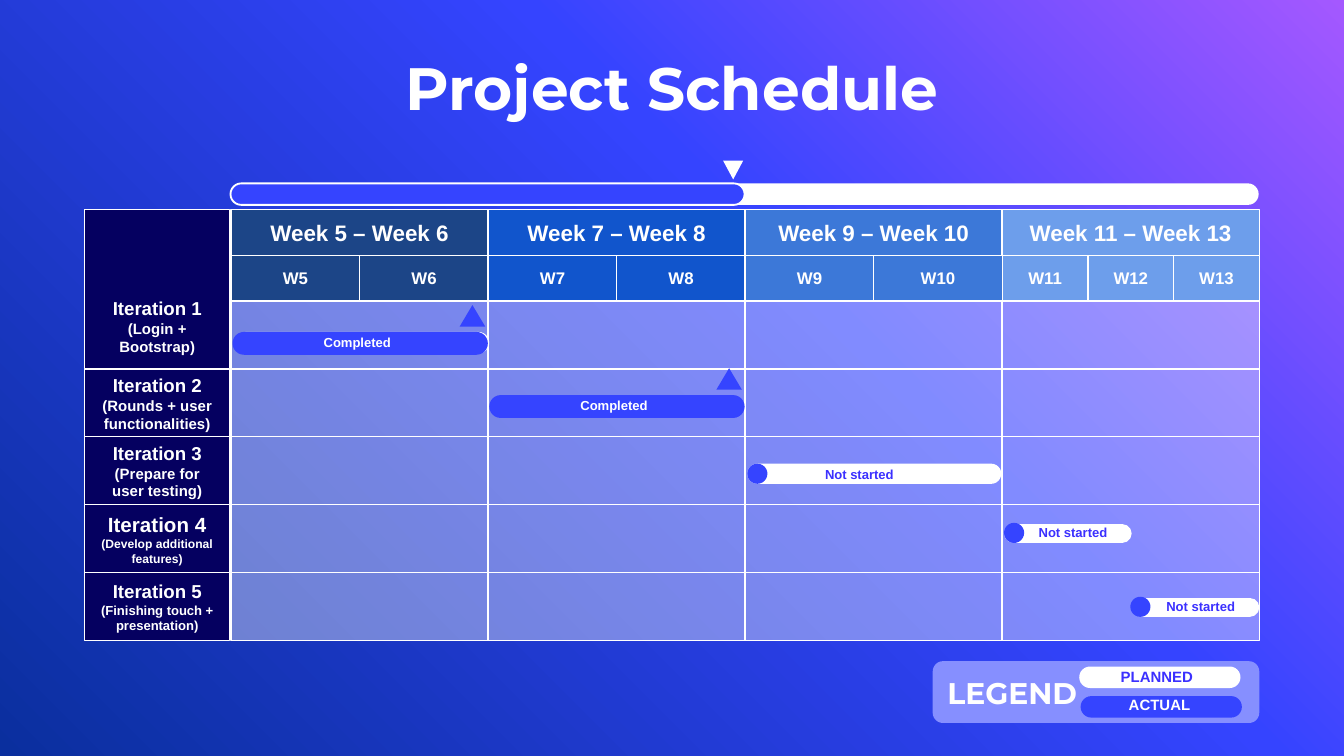
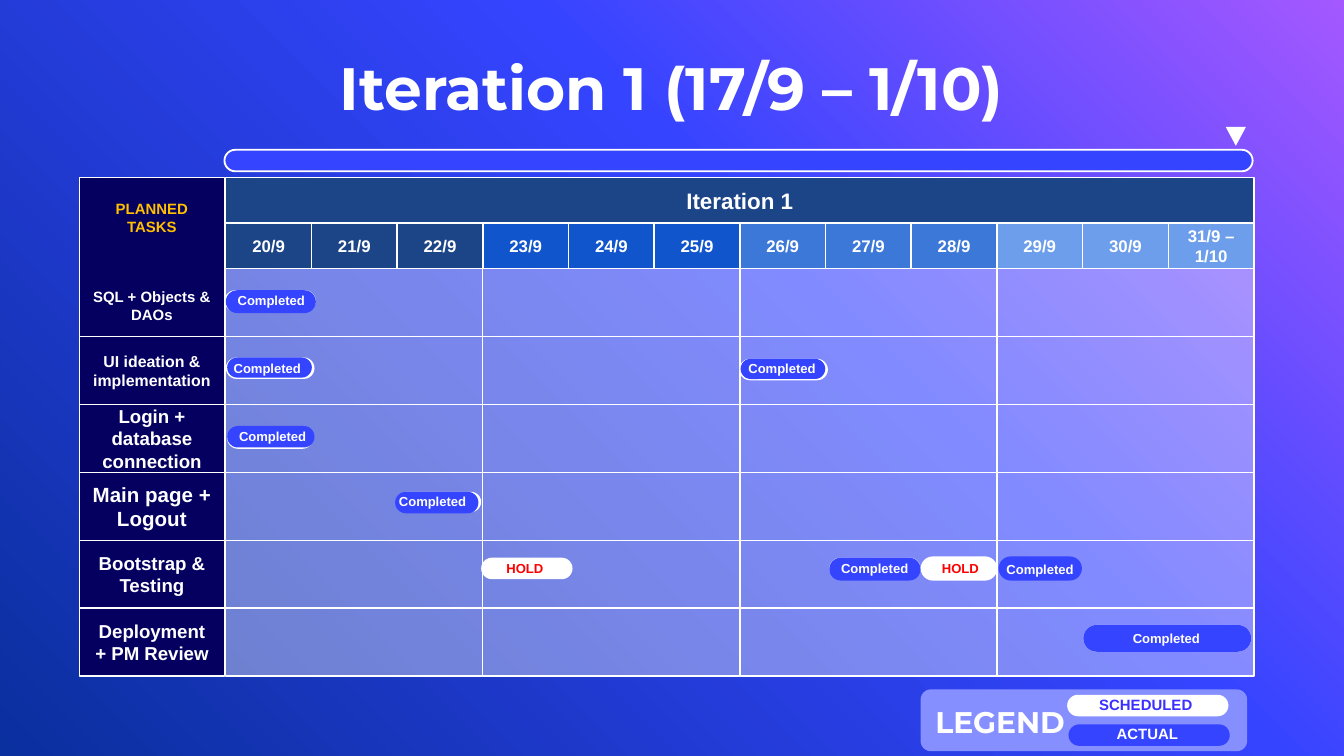
from pptx import Presentation
from pptx.dml.color import RGBColor
from pptx.enum.shapes import MSO_SHAPE
from pptx.enum.text import MSO_ANCHOR, MSO_AUTO_SIZE, PP_ALIGN
from pptx.oxml import parse_xml
from pptx.oxml.ns import nsdecls, qn
from pptx.util import Inches, Pt

RECT = MSO_SHAPE.RECTANGLE
ROUNDED = MSO_SHAPE.ROUNDED_RECTANGLE
PILL = MSO_SHAPE.ROUND_2_SAME_RECTANGLE
TRIANGLE = MSO_SHAPE.ISOSCELES_TRIANGLE
TOP, MIDDLE, BOTTOM = MSO_ANCHOR.TOP, MSO_ANCHOR.MIDDLE, MSO_ANCHOR.BOTTOM
LEFT, CENTER = PP_ALIGN.LEFT, PP_ALIGN.CENTER
GROW = MSO_AUTO_SIZE.SHAPE_TO_FIT_TEXT

BODY, HEADING = "Arial", "Montserrat"
WHITE, BLUE, NAVY = "FFFFFF", "3544FF", "050060"
INDIGO, LILAC, RED, AMBER = "3B30FF", "868FFF", "FF0000", "FFC000"
BANDS = ["1C4587", "1155CC", "3C78D8", "6D9EEB"]
BACKDROP = [(0, "A458FF"), (39, BLUE), (100, "0A2F9E")]

# Board measures, in inches
LABEL_W = 1.08
GRID_W = 7.65
BAND_W = GRID_W / len(BANDS)
HEAD_H = 0.34
ROW_H = 3.03 / 6


def rgb(color):
    return RGBColor.from_string(color)


def add_shape(s, kind, x, y, w, h, fill, line=None, alpha=None):
    sp = s.shapes.add_shape(kind, Inches(x), Inches(y), Inches(w), Inches(h))
    sp.shadow.inherit = False
    sp.fill.solid()
    sp.fill.fore_color.rgb = rgb(fill)
    if alpha:
        color = sp.element.spPr.find(qn("a:solidFill"))[0]
        color.append(parse_xml(
            f'<a:alpha {nsdecls("a")} val="{alpha * 1000}"/>'))
    if line:
        sp.line.color.rgb = rgb(WHITE)
        sp.line.width = Pt(line)
    else:
        sp.line.fill.background()
    return sp


def write(sp, lines, inset, anchor=MIDDLE, align=CENTER, font=BODY):
    """Each line is (text, size, colour)."""
    tf = sp.text_frame
    tf.word_wrap = True
    tf.vertical_anchor = anchor
    tf.margin_left = tf.margin_right = Inches(inset[0])
    tf.margin_top = tf.margin_bottom = Inches(inset[1])
    for i, (text, size, color) in enumerate(lines):
        p = tf.add_paragraph() if i else tf.paragraphs[0]
        p.text = text
        p.alignment = align
        p.font.name = font
        p.font.size = Pt(size)
        p.font.bold = True
        p.font.color.rgb = rgb(color)
    return tf


def add_heading(s, text, size, x, y, w, h, align):
    box = s.shapes.add_textbox(Inches(x), Inches(y), Inches(w), Inches(h))
    write(box, [(text, size, WHITE)], (0, 0), BOTTOM, align, HEADING)


def add_label(s, text, size, color, x, y, w, h=0.22):
    box = s.shapes.add_textbox(Inches(x), Inches(y), Inches(w), Inches(h))
    tf = write(box, [(text, size, color)], (0.1, 0.1), TOP, LEFT)
    tf.margin_top = tf.margin_bottom = Inches(0.05)
    tf.auto_size = GROW


def add_cell(s, x, y, w, h, fill, lines, anchor=MIDDLE):
    sp = add_shape(s, RECT, x, y, w, h, fill, 0.75)
    return write(sp, lines, (0.1, 0.1), anchor)


def add_pill(s, x, y, w, h, fill, line=None):
    """Horizontal bar: an upright shape with round ends, turned by 90 degrees."""
    sp = add_shape(s, PILL, x + (w - h) / 2, y + (h - w) / 2, h, w, fill, line)
    sp.adjustments[0] = sp.adjustments[1] = 0.5
    sp.rotation = 90


def add_progress(s, x, y, done, marker_x):
    add_pill(s, x, y, GRID_W, 0.16, WHITE)
    add_pill(s, x, y, done, 0.16, BLUE, 1)
    marker = add_shape(s, TRIANGLE, marker_x, y - 0.17, 0.15, 0.14, WHITE)
    marker.rotation = 180


def add_board(s, x, y, rows, heads, days):
    """heads span the grid evenly; days holds one list for each band."""
    grid_x = x + LABEL_W + 0.01
    body_y = y + 2 * HEAD_H
    # Translucent grid
    for row in range(len(rows)):
        for band in range(len(BANDS)):
            add_shape(s, RECT, grid_x + band * BAND_W, body_y + row * ROW_H,
                      BAND_W, ROW_H, WHITE, 0.75, 38)
    # Header rows
    head_w = GRID_W / len(heads)
    for i, head in enumerate(heads):
        add_cell(s, grid_x + i * head_w, y, head_w, HEAD_H, BANDS[i],
                 [(head, 12, WHITE)])
    for band, names in enumerate(days):
        day_w = BAND_W / len(names)
        for i, name in enumerate(names):
            add_cell(s, grid_x + band * BAND_W + i * day_w, y + HEAD_H,
                     day_w, HEAD_H, BANDS[band], [(name, 9, WHITE)])
    # Row labels; the first one reaches up beside the headers
    for i, lines in enumerate(rows[1:], 1):
        add_cell(s, x, body_y + i * ROW_H, LABEL_W, ROW_H, NAVY, lines)
    return add_cell(s, x, y, LABEL_W, 2 * HEAD_H + ROW_H, NAVY, rows[0], BOTTOM)


def add_legend(s, x, y, planned, planned_x, planned_w, actual_x):
    add_shape(s, ROUNDED, x, y, 2.43, 0.46, LILAC)
    add_pill(s, x + 1.09, y + 0.04, 1.2, 0.16, WHITE)
    add_pill(s, x + 1.1, y + 0.26, 1.2, 0.16, BLUE)
    add_heading(s, "LEGEND", 16, x + 0.11, y - 0.06, 1.34, 0.43, LEFT)
    add_label(s, planned, 8, INDIGO, planned_x, y, planned_w, 0.24)
    add_label(s, "ACTUAL", 8, WHITE, actual_x, y + 0.21, 0.69, 0.24)


def add_tasks(s, tasks):
    """Each task: planned bar, actual bar, then label (text, colour, x, y, w)."""
    for planned, actual, (text, color, x, y, w) in tasks:
        if planned:
            add_pill(s, *planned, WHITE)
        if actual:
            add_pill(s, *actual, BLUE)
        add_label(s, text, 7, color, x, y, w)


def new_slide(prs, title):
    s = prs.slides.add_slide(prs.slide_layouts[6])
    stops = "".join(
        f'<a:gs pos="{pos * 1000}"><a:srgbClr val="{color}"/></a:gs>'
        for pos, color in BACKDROP)
    s.element.cSld.insert(0, parse_xml(
        f'<p:bg {nsdecls("p", "a")}><p:bgPr><a:gradFill rotWithShape="1">'
        f'<a:gsLst>{stops}</a:gsLst><a:lin ang="8100000" scaled="0"/>'
        '</a:gradFill><a:effectLst/></p:bgPr></p:bg>'))
    add_heading(s, title, 32, 0, 0.21, 10, 0.7, CENTER)
    return s


def build_schedule(prs):
    s = new_slide(prs, "Project Schedule")
    iterations = [("(Login + Bootstrap)", 10, 8),
                  ("(Rounds + user functionalities)", 10, 8),
                  ("(Prepare for user testing)", 10, 8),
                  ("(Develop additional features)", 11, 6.5),
                  ("(Finishing touch + presentation)", 10, 7)]
    rows = [[(f"Iteration {i}", size, WHITE), (detail, small, WHITE)]
            for i, (detail, size, small) in enumerate(iterations, 1)]
    heads = ["Week 5 – Week 6", "Week 7 – Week 8",
             "Week 9 – Week 10", "Week 11 – Week 13"]
    days = [["W5", "W6"], ["W7", "W8"], ["W9", "W10"], ["W11", "W12", "W13"]]
    add_progress(s, 1.715, 1.365, GRID_W / 2, 5.38)
    add_board(s, 0.63, 1.56, rows, heads, days)
    # Milestones of the finished iterations
    for x, y in [(3.42, 2.27), (5.33, 2.74)]:
        add_shape(s, TRIANGLE, x, y, 0.19, 0.16, BLUE)
    done, waiting = ("Completed", WHITE), ("Not started", INDIGO)
    add_tasks(s, [
        ((1.75, 2.47, 1.89, 0.16), (1.73, 2.47, 1.9, 0.17),
         (*done, 2.31, 2.44, 1.58)),
        (None, (3.64, 2.94, 1.9, 0.17), (*done, 4.22, 2.91, 1.58)),
        ((5.56, 3.45, 1.89, 0.15), (5.56, 3.45, 0.15, 0.15),
         (*waiting, 6.04, 3.42, 1.58)),
        ((7.47, 3.9, 0.95, 0.14), (7.47, 3.89, 0.15, 0.15),
         (*waiting, 7.63, 3.85, 0.72)),
        ((8.42, 4.45, 0.95, 0.14), (8.41, 4.44, 0.15, 0.15),
         (*waiting, 8.58, 4.4, 0.72)),
    ])
    add_legend(s, 6.94, 4.92, "PLANNED", 8.24, 0.84, 8.3)


def build_iteration(prs):
    s = new_slide(prs, "Iteration 1 (17/9 – 1/10)")
    tasks = [("UI ideation & implementation", 8.5),
             ("Login + database connection", 10), ("Main page + Logout", 11),
             ("Bootstrap & Testing", 10), ("Deployment + PM Review", 10)]
    rows = [[("PLANNED TASKS", 8, AMBER), ("SQL + Objects & DAOs", 8, WHITE)]]
    rows += [[(text, size, WHITE)] for text, size in tasks]
    dates = [f"{day}/9" for day in range(20, 31)] + ["31/9 – 1/10"]
    days = [dates[i:i + 3] for i in range(0, len(dates), 3)]
    add_progress(s, 1.67, 1.115, GRID_W, 9.12)
    corner = add_board(s, 0.59, 1.32, rows, ["Iteration 1"], days)
    corner.paragraphs[1].space_before = Pt(28)
    done, hold = ("Completed", WHITE), ("HOLD", RED)
    add_tasks(s, [
        ((1.67, 2.16, 0.68, 0.16), (1.68, 2.16, 0.67, 0.17),
         (*done, 1.67, 2.13, 0.71)),
        ((1.68, 2.66, 0.66, 0.16), (1.69, 2.66, 0.63, 0.15),
         (*done, 1.64, 2.63, 0.71)),
        ((5.5, 2.67, 0.66, 0.16), (5.51, 2.67, 0.63, 0.15),
         (*done, 5.47, 2.63, 0.79)),
        ((1.69, 3.18, 0.64, 0.16), (1.69, 3.17, 0.65, 0.16),
         (*done, 1.68, 3.14, 0.72)),
        ((2.95, 3.66, 0.63, 0.15), (2.94, 3.66, 0.62, 0.16),
         (*done, 2.87, 3.62, 0.79)),
        ((3.58, 4.15, 0.68, 0.16), None, (*hold, 3.67, 4.12, 0.48)),
        ((6.17, 4.15, 0.68, 0.16), (6.17, 4.15, 0.68, 0.17),
         (*done, 6.16, 4.12, 0.79)),
        ((6.85, 4.14, 0.57, 0.18), None, (*hold, 6.91, 4.12, 0.48)),
        (None, (7.43, 4.14, 0.62, 0.18), (*done, 7.39, 4.13, 0.71)),
        ((8.06, 4.65, 1.25, 0.2), (8.06, 4.65, 1.25, 0.2),
         (*done, 8.33, 4.64, 0.71)),
    ])
    add_legend(s, 6.85, 5.13, "SCHEDULED", 8.08, 0.95, 8.21)


def main():
    prs = Presentation()
    prs.slide_width, prs.slide_height = Inches(10), Inches(5.625)
    build_schedule(prs)
    build_iteration(prs)
    prs.save("out.pptx")


main()
